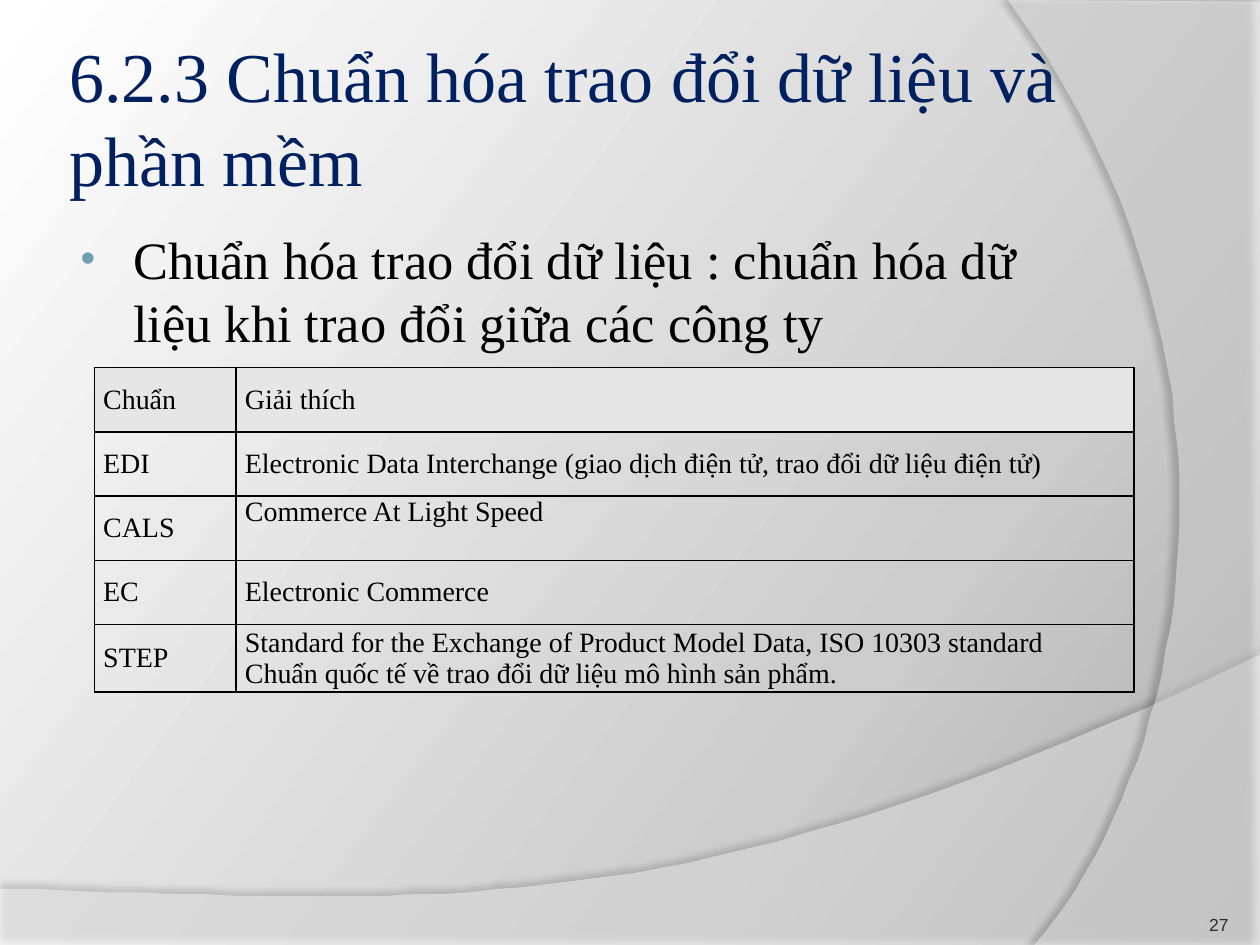
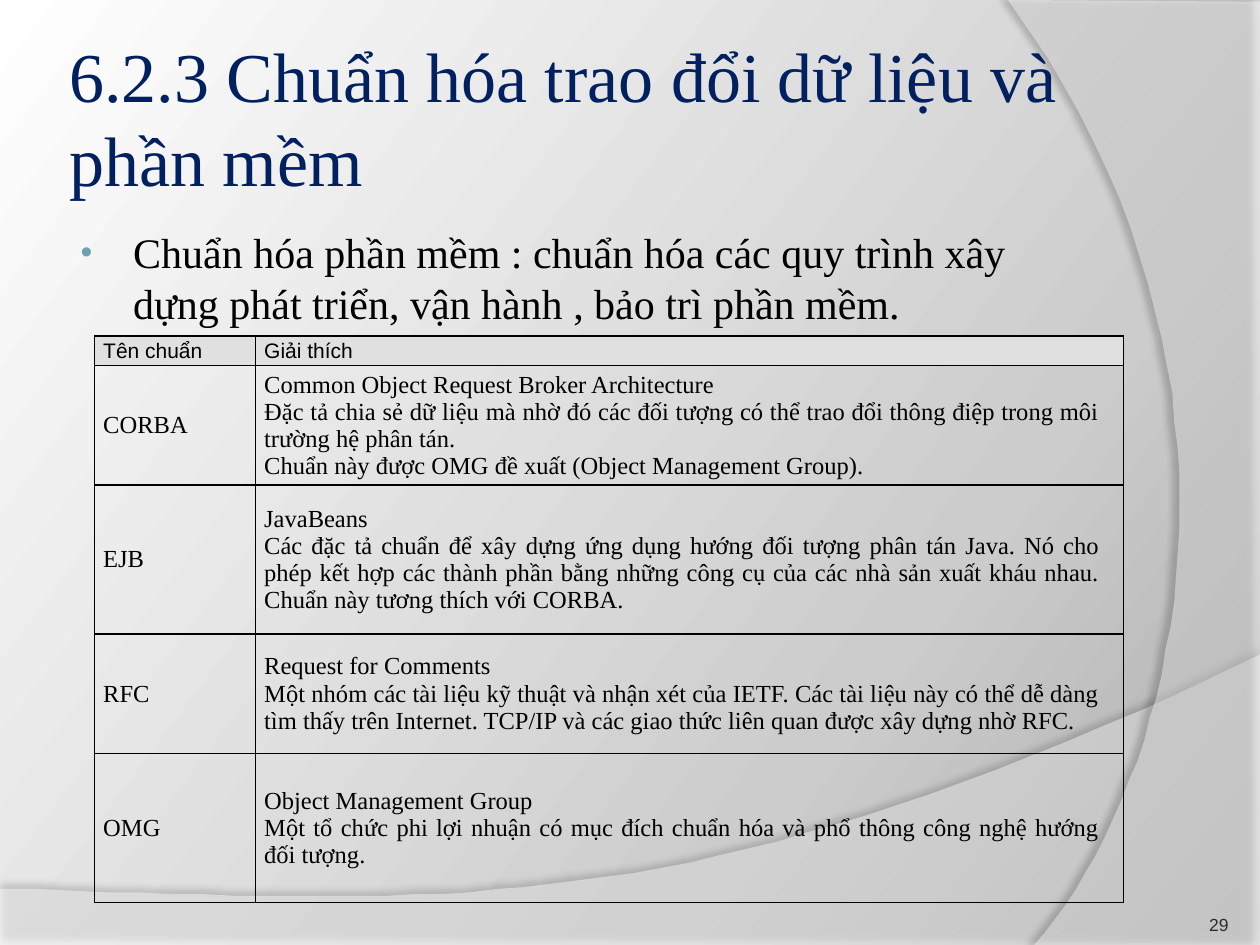
from lxml.etree import SubElement
from pptx import Presentation
from pptx.dml.color import RGBColor
from pptx.enum.text import MSO_ANCHOR, MSO_AUTO_SIZE, PP_ALIGN
from pptx.oxml.ns import qn
from pptx.util import Pt

COLORS = {
    "title": "002060", "text": "000000", "number": "2C2C2C", "bullet": "6EA0B0",
    "band": "FFFFFF", "border": "000000", "shadow": "000000",
}
BACKGROUND = [(0, "ABABAB"), (30, "CCCCCC"), (100, "FFFFFF")]
SERIF, SANS = "Times New Roman", "Arial"
TITLE = "6.2.3 Chuẩn hóa trao đổi dữ liệu và phần mềm"

SLIDES = [
    {
        "number": "27", "title_width": 630,
        "bullet": "Chuẩn hóa trao đổi dữ liệu : chuẩn hóa dữ liệu khi trao đổi giữa các công ty",
        "bullet_size": 30, "bullet_height": 90,
        "table_top": 210, "columns": [81, 513], "row_heights": [36.75] * 5,
        "head_fill": "E6E6E6", "head_font": (SERIF, 16), "body_size": 16,
        "right_margin": 5, "top_row": 2,
        "rows": [
            ("Chuẩn", "Giải thích"),
            ("EDI", "Electronic Data Interchange (giao dịch điện tử, trao đổi dữ liệu điện tử)"),
            ("CALS", "Commerce At Light Speed"),
            ("EC", "Electronic Commerce"),
            ("STEP", "Standard for the Exchange of Product Model Data, ISO 10303 standard\n"
                     "Chuẩn quốc tế về trao đổi dữ liệu mô hình sản phẩm."),
        ],
    },
    {
        "number": "29", "title_width": 588,
        "bullet": "Chuẩn hóa phần mềm : chuẩn hóa các quy trình xây dựng phát triển, "
                  "vận hành , bảo trì phần mềm.",
        "bullet_size": 24, "bullet_height": 72,
        "table_top": 192, "columns": [92, 496], "row_heights": [17, 68.2, 85.2, 68.2, 85.2],
        "head_fill": "E0E0E0", "head_font": (SANS, 12), "body_size": 14,
        "right_margin": 13.5, "top_row": None,
        "rows": [
            ("Tên chuẩn", "Giải thích"),
            ("CORBA", "Common Object Request Broker Architecture\n"
                      "Đặc tả chia sẻ dữ liệu mà nhờ đó các đối tượng có thể trao đổi thông điệp "
                      "trong môi trường hệ phân tán.\n"
                      "Chuẩn này được OMG đề xuất (Object Management Group)."),
            ("EJB", "JavaBeans\n"
                    "Các đặc tả chuẩn để xây dựng ứng dụng hướng đối tượng phân tán Java. Nó cho "
                    "phép kết hợp các thành phần bằng những công cụ của các nhà sản xuất kháu "
                    "nhau. Chuẩn này tương thích với CORBA."),
            ("RFC", "Request for Comments\n"
                    "Một nhóm các tài liệu kỹ thuật và nhận xét của IETF. Các tài liệu này có thể "
                    "dễ dàng tìm thấy trên Internet. TCP/IP và các giao thức liên quan được xây "
                    "dựng nhờ RFC."),
            ("OMG", "Object Management Group\n"
                    "Một tổ chức phi lợi nhuận có mục đích chuẩn hóa và phổ thông công nghệ "
                    "hướng đối tượng."),
        ],
    },
]

# Bands: corner points, then a Bezier curve that closes the outline
BANDS = [
    {"corners": [(0, 507.6), (0, 540), (720, 540), (720, 374.4)],
     "curve": [(720, 374.4), (402.5, 524.9), (281.5, 517.7), (0, 507.6)],
     "alpha": 45, "shadow_alpha": 35, "distance": 3.5, "direction": 270},
    {"corners": [(720, 1.4), (720, 540), (591.1, 540)],
     "curve": [(591.1, 540), (673.2, 445.7), (733, 216), (576, 0)],
     "alpha": 40, "shadow_alpha": 45, "distance": 4, "direction": 180},
]


def set_text(tf, text, font, size, color, align=PP_ALIGN.LEFT):
    tf.text = text
    for p in tf.paragraphs:
        p.alignment = align
        for r in p.runs:
            r.font.name, r.font.size = font, Pt(size)
            r.font.color.rgb = RGBColor.from_string(COLORS[color])


def add_color(parent, color, alpha=100):
    clr = SubElement(parent, qn("a:srgbClr"), val=color)
    SubElement(clr, qn("a:alpha"), val=str(alpha * 1000))


prs = Presentation()
prs.slide_width, prs.slide_height = Pt(720), Pt(540)
layout = prs.slide_layouts[5]

# Shared gradient background
fill = layout.background.fill
fill.gradient()
fill.gradient_angle = 360 - 217
stops = next(layout.element.iter(qn("a:gsLst")))
for gs in list(stops):
    stops.remove(gs)
for position, color in BACKGROUND:
    add_color(SubElement(stops, qn("a:gs"), pos=str(position * 1000)), color)

slides = [prs.slides.add_slide(layout) for _ in SLIDES]

# Shared translucent bands, moved behind the layout's placeholders
for i, band in enumerate(BANDS):
    points = list(band["corners"])
    for step in range(1, 41):
        t = step / 40
        weights = ((1 - t) ** 3, 3 * t * (1 - t) ** 2, 3 * t * t * (1 - t), t ** 3)
        points.append(tuple(sum(w * c[axis] for w, c in zip(weights, band["curve"]))
                            for axis in (0, 1)))
    builder = slides[0].shapes.build_freeform(*points[0], scale=Pt(1))
    builder.add_line_segments(points[1:], close=True)
    sp = builder.convert_to_shape()
    sp.line.fill.background()
    sp.fill.solid()
    sp.fill.fore_color.rgb = RGBColor.from_string(COLORS["band"])
    clr = next(sp.element.spPr.iter(qn("a:srgbClr")))
    SubElement(clr, qn("a:alpha"), val=str(band["alpha"] * 1000))
    sp.shadow.inherit = False
    shadow = SubElement(sp.element.spPr.find(qn("a:effectLst")), qn("a:outerShdw"),
                        blurRad=str(Pt(4)), dist=str(Pt(band["distance"])),
                        dir=str(band["direction"] * 60000), algn="ctr", rotWithShape="0")
    add_color(shadow, COLORS["shadow"], band["shadow_alpha"])
    layout.shapes.element.insert(2 + i, sp.element)

for s, data in zip(slides, SLIDES):
    # Title
    title = s.shapes.title
    title.left, title.top = Pt(36), Pt(21.6)
    title.width, title.height = Pt(data["title_width"]), Pt(90)
    tf = title.text_frame
    tf.auto_size, tf.vertical_anchor = MSO_AUTO_SIZE.NONE, MSO_ANCHOR.MIDDLE
    tf.margin_left = tf.margin_right = tf.margin_top = tf.margin_bottom = Pt(3.6)
    set_text(tf, TITLE, SERIF, 40, "title")

    # Bulleted statement
    tf = s.shapes.add_textbox(Pt(36), Pt(126), Pt(588), Pt(data["bullet_height"])).text_frame
    tf.word_wrap = True
    set_text(tf, data["bullet"], SERIF, data["bullet_size"], "text")
    p = tf.paragraphs[0]
    p.space_before = Pt(data["bullet_size"] * 0.2)
    pPr = p._p.get_or_add_pPr()
    pPr.set("marL", str(Pt(33)))
    pPr.set("indent", str(-Pt(30)))
    add_color(SubElement(pPr, qn("a:buClr")), COLORS["bullet"])
    SubElement(pPr, qn("a:buSzPct"), val="80000")
    SubElement(pPr, qn("a:buFont"), typeface=SANS)
    SubElement(pPr, qn("a:buChar"), char="•")

    # Table of standards
    rows, columns = data["rows"], data["columns"]
    table = s.shapes.add_table(len(rows), len(columns), Pt(54), Pt(data["table_top"]),
                               Pt(sum(columns)), Pt(sum(data["row_heights"]))).table
    table.first_row = table.horz_banding = False
    for column, width in zip(table.columns, columns):
        column.width = Pt(width)
    for i, row in enumerate(rows):
        table.rows[i].height = Pt(data["row_heights"][i])
        font, size = data["head_font"] if i == 0 else (SERIF, data["body_size"])
        for j, text in enumerate(row):
            cell = table.cell(i, j)
            set_text(cell.text_frame, text, font, size, "text", PP_ALIGN.JUSTIFY)
            at_top = j == 1 and i == data["top_row"]
            cell.vertical_anchor = MSO_ANCHOR.TOP if at_top else MSO_ANCHOR.MIDDLE
            cell.margin_left, cell.margin_right = Pt(5), Pt(data["right_margin"] if j else 5)
            cell.margin_top = cell.margin_bottom = 0
            tcPr = cell._tc.get_or_add_tcPr()
            for side in ("lnL", "lnR", "lnT", "lnB"):
                ln = SubElement(tcPr, qn(f"a:{side}"), w=str(Pt(1)))
                add_color(SubElement(ln, qn("a:solidFill")), COLORS["border"])
            if i == 0:
                cell.fill.solid()
                cell.fill.fore_color.rgb = RGBColor.from_string(data["head_fill"])
            else:
                cell.fill.background()

    # Slide number
    tf = s.shapes.add_textbox(Pt(642), Pt(505.5), Pt(60), Pt(28.8)).text_frame
    tf.word_wrap, tf.vertical_anchor = True, MSO_ANCHOR.BOTTOM
    tf.margin_left = tf.margin_right = tf.margin_top = tf.margin_bottom = 0
    set_text(tf, data["number"], SANS, 10, "number", PP_ALIGN.RIGHT)

prs.save("out.pptx")
